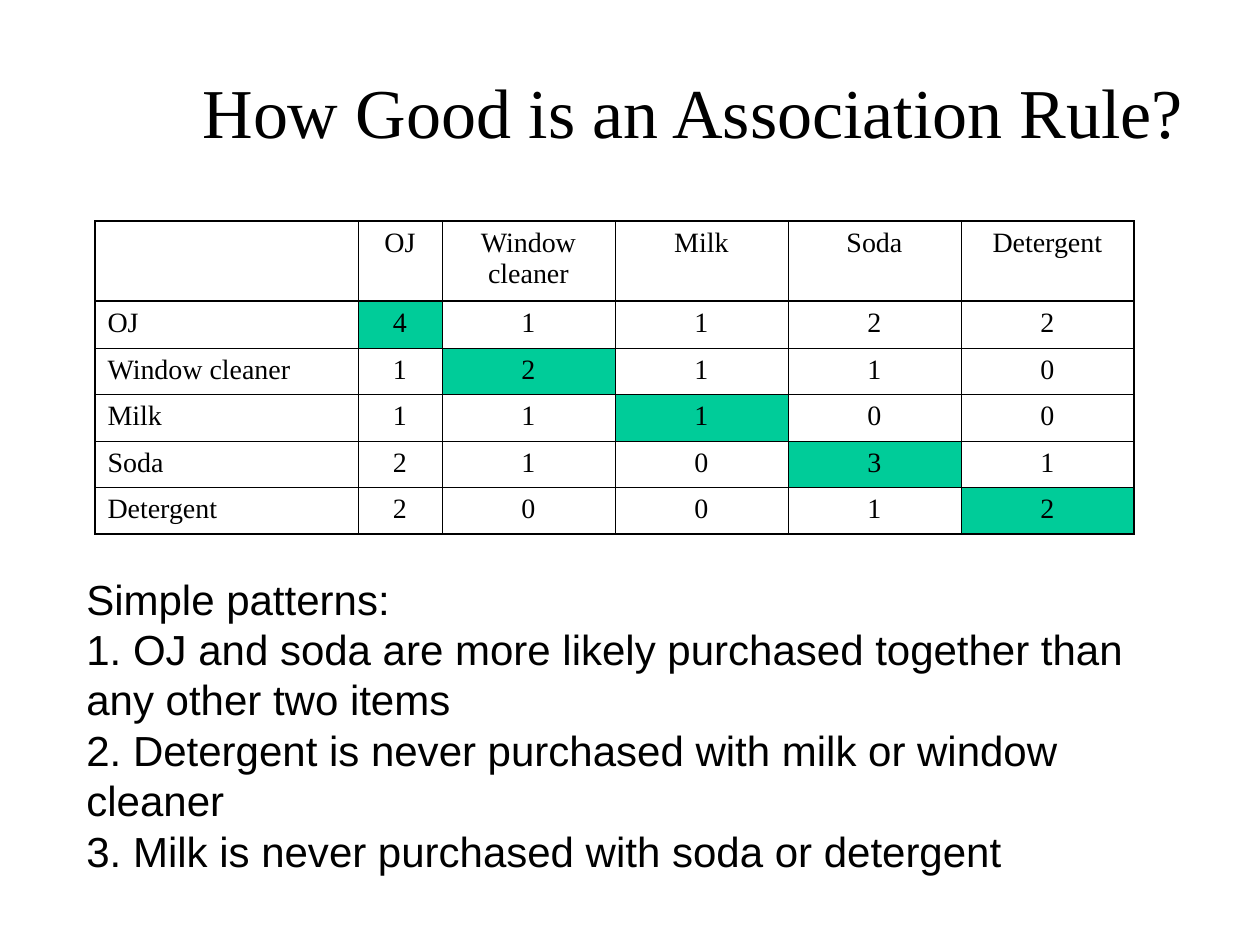
from lxml.etree import SubElement
from pptx import Presentation
from pptx.dml.color import RGBColor
from pptx.enum.text import MSO_ANCHOR, MSO_AUTO_SIZE, PP_ALIGN
from pptx.oxml.ns import qn
from pptx.util import Emu, Pt

EMU_PER_PX = 914400 / 126
COLORS = {"text": "000000", "border": "000000", "diagonal": "00CC99"}
SERIF, SANS = "Times New Roman", "Arial"
THIN, THICK = 0.45, 1.08

ITEMS = ["OJ", "Window cleaner", "Milk", "Soda", "Detergent"]
COUNTS = [
    [4, 1, 1, 2, 2],
    [1, 2, 1, 1, 0],
    [1, 1, 1, 0, 0],
    [2, 1, 0, 3, 1],
    [2, 0, 0, 1, 2],
]
COLUMN_WIDTHS = [263, 84, 173, 173, 173, 173]
ROW_HEIGHTS = [80, 47, 46, 47, 46, 47]
PATTERNS = [
    "Simple patterns:",
    "1. OJ and soda are more likely purchased together than",
    "any other two items",
    "2. Detergent is never purchased with milk or window cleaner",
    "3. Milk is never purchased with soda or detergent",
]


def px(value):
    return Emu(round(value * EMU_PER_PX))


def add_text(paragraph, text, font, size, align=PP_ALIGN.LEFT):
    paragraph.alignment = align
    run = paragraph.add_run()
    run.text = text
    run.font.name = font
    run.font.size = Pt(size)
    run.font.color.rgb = RGBColor.from_string(COLORS["text"])


def set_title(slide, text):
    title = slide.shapes.title
    title.left, title.top, title.width, title.height = map(px, (126, 32, 1134, 157))
    title.text_frame.vertical_anchor = MSO_ANCHOR.MIDDLE
    add_text(title.text_frame.paragraphs[0], text, SERIF, 40, PP_ALIGN.CENTER)


def set_borders(cell, widths):
    """Draw the left, right, top and bottom lines, which must precede the fill."""
    properties = cell._tc.get_or_add_tcPr()
    for index, (side, width) in enumerate(zip("LRTB", widths)):
        line = SubElement(properties, qn(f"a:ln{side}"), w=str(Pt(width)))
        fill = SubElement(line, qn("a:solidFill"))
        SubElement(fill, qn("a:srgbClr"), val=COLORS["border"])
        properties.insert(index, line)


def format_cell(cell, row, column):
    """Fill the diagonal and thicken the outer frame and the header rule."""
    if row == column > 0:
        cell.fill.solid()
        cell.fill.fore_color.rgb = RGBColor.from_string(COLORS["diagonal"])
    else:
        cell.fill.background()
    last = len(ITEMS)
    thick_sides = (column == 0, column == last, row in (0, 1), row in (0, last))
    set_borders(cell, [THICK if thick else THIN for thick in thick_sides])


def add_purchase_table(slide):
    rows = [["", *ITEMS]] + [[item, *counts] for item, counts in zip(ITEMS, COUNTS)]
    frame = slide.shapes.add_table(
        len(rows), len(rows[0]), px(95), px(221),
        px(sum(COLUMN_WIDTHS)), px(sum(ROW_HEIGHTS)))
    table = frame.table
    table.first_row = table.horz_banding = False
    for column, width in zip(table.columns, COLUMN_WIDTHS):
        column.width = px(width)
    for row, height in zip(table.rows, ROW_HEIGHTS):
        row.height = px(height)
    for row_index, values in enumerate(rows):
        for column_index, value in enumerate(values):
            cell = table.cell(row_index, column_index)
            format_cell(cell, row_index, column_index)
            if value == "":
                continue
            paragraph = cell.text_frame.paragraphs[0]
            paragraph.space_before = Pt(4)
            align = PP_ALIGN.CENTER if column_index else PP_ALIGN.LEFT
            add_text(paragraph, str(value), SERIF, 16, align)


def add_patterns(slide):
    box = slide.shapes.add_textbox(px(74), px(567), px(1145), px(265))
    text_frame = box.text_frame
    text_frame.word_wrap = False
    text_frame.auto_size = MSO_AUTO_SIZE.SHAPE_TO_FIT_TEXT
    for index, line in enumerate(PATTERNS):
        paragraph = text_frame.add_paragraph() if index else text_frame.paragraphs[0]
        add_text(paragraph, line, SANS, 24)


def main():
    presentation = Presentation()
    presentation.slide_width, presentation.slide_height = px(1260), px(945)
    slide = presentation.slides.add_slide(presentation.slide_layouts[5])
    set_title(slide, "How Good is an Association Rule?")
    add_purchase_table(slide)
    add_patterns(slide)
    presentation.save("out.pptx")


if __name__ == "__main__":
    main()
